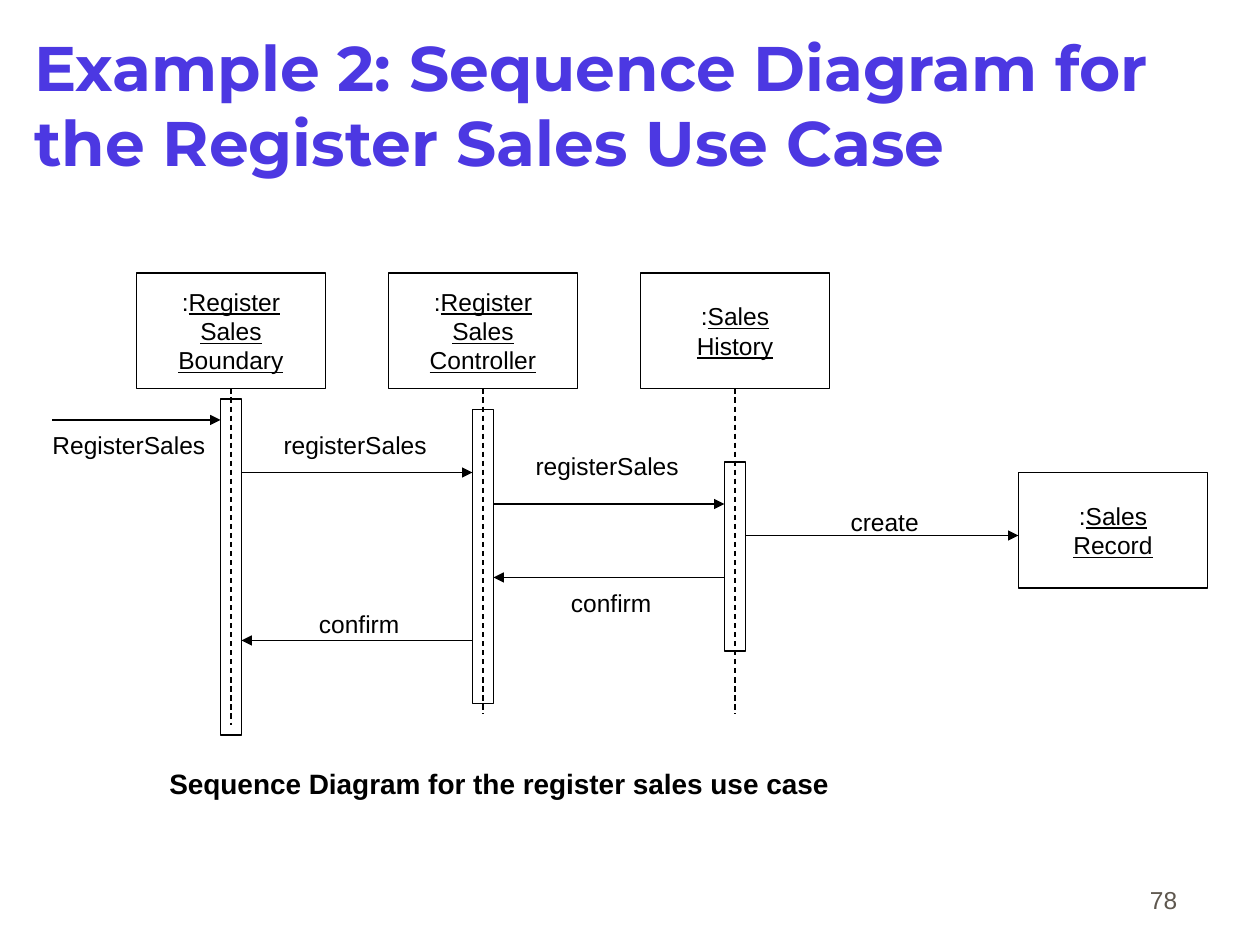
from dataclasses import dataclass

from lxml.etree import SubElement
from pptx import Presentation
from pptx.dml.color import RGBColor
from pptx.enum.dml import MSO_LINE
from pptx.enum.shapes import MSO_CONNECTOR, MSO_SHAPE
from pptx.enum.text import MSO_ANCHOR, MSO_AUTO_SIZE, PP_ALIGN
from pptx.oxml.ns import qn
from pptx.util import Pt

PX = 9525  # 96 px to the inch


@dataclass(frozen=True)
class Theme:
    accent: RGBColor = RGBColor(0x4C, 0x38, 0xE2)
    ink: RGBColor = RGBColor(0, 0, 0)
    muted: RGBColor = RGBColor(0x5E, 0x57, 0x4E)
    head_font: str = "Montserrat"
    body_font: str = "Arial"
    title: int = 36
    caption: int = 16
    text: int = 14
    line: float = 0.75


T = Theme()

# Diagram measures, relative to its box
HEAD_W, HEAD_H = 144, 88
FIRST_X, PITCH = 136, 192  # lifeline centres
BAR_W = 16

# Object name, lifeline end, activation top, activation height
LIFELINES = [
    (["Register", "Sales", "Boundary"], 344, 96, 256),
    (["Register", "Sales", "Controller"], 336, 104, 224),
    (["Sales", "History"], 336, 144, 144),
]
RECORD = (["Sales", "Record"], 736, 152)

# Sender and receiver (None is outside the lifelines), y, label, label x and y
MESSAGES = [
    (None, 0, 112, "RegisterSales", 0, 120),
    (0, 1, 152, "registerSales", 176, 120),
    (1, 2, 176, "registerSales", 368, 136),
    (2, None, 200, "create", 608, 178),
    (2, 1, 232, "confirm", 395, 240),
    (1, 0, 280, "confirm", 203, 256),
]


def emu(*px):
    return [v * PX for v in px]


def add_run(p, text, size=T.text, color=T.ink, font=T.body_font, **style):
    r = p.add_run()
    r.text = text
    r.font.size, r.font.name = Pt(size), font
    r.font.color.rgb = color
    for key, value in style.items():
        setattr(r.font, key, value)


def set_frame(tf, inset_x=0, inset_y=0, anchor=MSO_ANCHOR.TOP, wrap=False):
    tf.margin_left, tf.margin_right = emu(inset_x, inset_x)
    tf.margin_top, tf.margin_bottom = emu(inset_y, inset_y)
    tf.vertical_anchor, tf.word_wrap = anchor, wrap
    tf.auto_size = MSO_AUTO_SIZE.NONE


def add_label(s, text, x, y, w, h, **style):
    tf = s.shapes.add_textbox(*emu(x, y, w, h)).text_frame
    set_frame(tf)
    add_run(tf.paragraphs[0], text, **style)


def add_rect(s, x, y, w, h):
    sp = s.shapes.add_shape(MSO_SHAPE.RECTANGLE, *emu(x, y, w, h))
    sp.shadow.inherit = False
    sp.fill.background()
    sp.line.color.rgb, sp.line.width = T.ink, Pt(T.line)
    return sp


def add_line(s, x1, y1, x2, y2, dashed=False):
    cn = s.shapes.add_connector(MSO_CONNECTOR.STRAIGHT, *emu(x1, y1, x2, y2))
    cn.line.color.rgb, cn.line.width = T.ink, Pt(T.line)
    if dashed:
        cn.line.dash_style = MSO_LINE.DASH
    else:
        SubElement(cn.line._get_or_add_ln(), qn("a:tailEnd"), type="triangle")
    SubElement(cn._element.spPr, qn("a:effectLst"))


def add_object(s, name, x, y):
    tf = add_rect(s, x, y, HEAD_W, HEAD_H).text_frame
    set_frame(tf, 10, 5, MSO_ANCHOR.MIDDLE)
    for i, word in enumerate(name):
        p = tf.add_paragraph() if i else tf.paragraphs[0]
        p.alignment = PP_ALIGN.CENTER
        if i == 0:
            add_run(p, ":")
        add_run(p, word, underline=True)


def add_title(s, text, x, y, w, h):
    sp = s.shapes.title
    sp.left, sp.top, sp.width, sp.height = emu(x, y, w, h)
    set_frame(sp.text_frame, 2, 5, MSO_ANCHOR.MIDDLE, wrap=True)
    p = sp.text_frame.paragraphs[0]
    p.alignment, p.space_before = PP_ALIGN.LEFT, Pt(8.1)
    add_run(p, text, T.title, T.accent, T.head_font, bold=True)


def add_diagram(s, x, y, w):
    # Objects with their lifelines and activations
    for i, (name, end, top, height) in enumerate(LIFELINES):
        cx = x + FIRST_X + i * PITCH
        add_object(s, name, cx - HEAD_W // 2, y)
        add_rect(s, cx - BAR_W // 2, y + top, BAR_W, height)
        add_line(s, cx, y + HEAD_H, cx, y + end, dashed=True)

    # Created object
    name, left, top = RECORD
    add_object(s, name, x + left, y + top)

    # Messages run between the facing edges of the activations
    for src, dst, my, text, lx, ly in MESSAGES:
        forward = src is None or dst is None or src < dst
        side = BAR_W // 2 if forward else -BAR_W // 2
        x1 = x if src is None else x + FIRST_X + src * PITCH + side
        x2 = x + w - HEAD_W if dst is None else x + FIRST_X + dst * PITCH - side
        add_line(s, x1, y + my, x2, y + my)
        add_label(s, text, x + lx, y + ly, 116, 22)


def add_page_number(s, text, x, y, w, h):
    tf = s.shapes.add_textbox(*emu(x, y, w, h)).text_frame
    set_frame(tf, 10, 5, MSO_ANCHOR.BOTTOM, wrap=True)
    p = tf.paragraphs[0]
    p.alignment = PP_ALIGN.RIGHT
    add_run(p, text, color=T.muted)


def main():
    prs = Presentation()
    prs.slide_width, prs.slide_height = emu(960, 720)
    s = prs.slides.add_slide(prs.slide_layouts[5])
    add_title(s, "Example 2: Sequence Diagram for the Register Sales Use Case",
              24, 17, 912, 124)
    add_diagram(s, 40, 208, 880)
    add_label(s, "Sequence Diagram for the register sales use case",
              129, 584, 503, 26, size=T.caption, bold=True)
    add_page_number(s, "78", 707, 654, 200, 48)
    prs.save("out.pptx")


if __name__ == "__main__":
    main()
